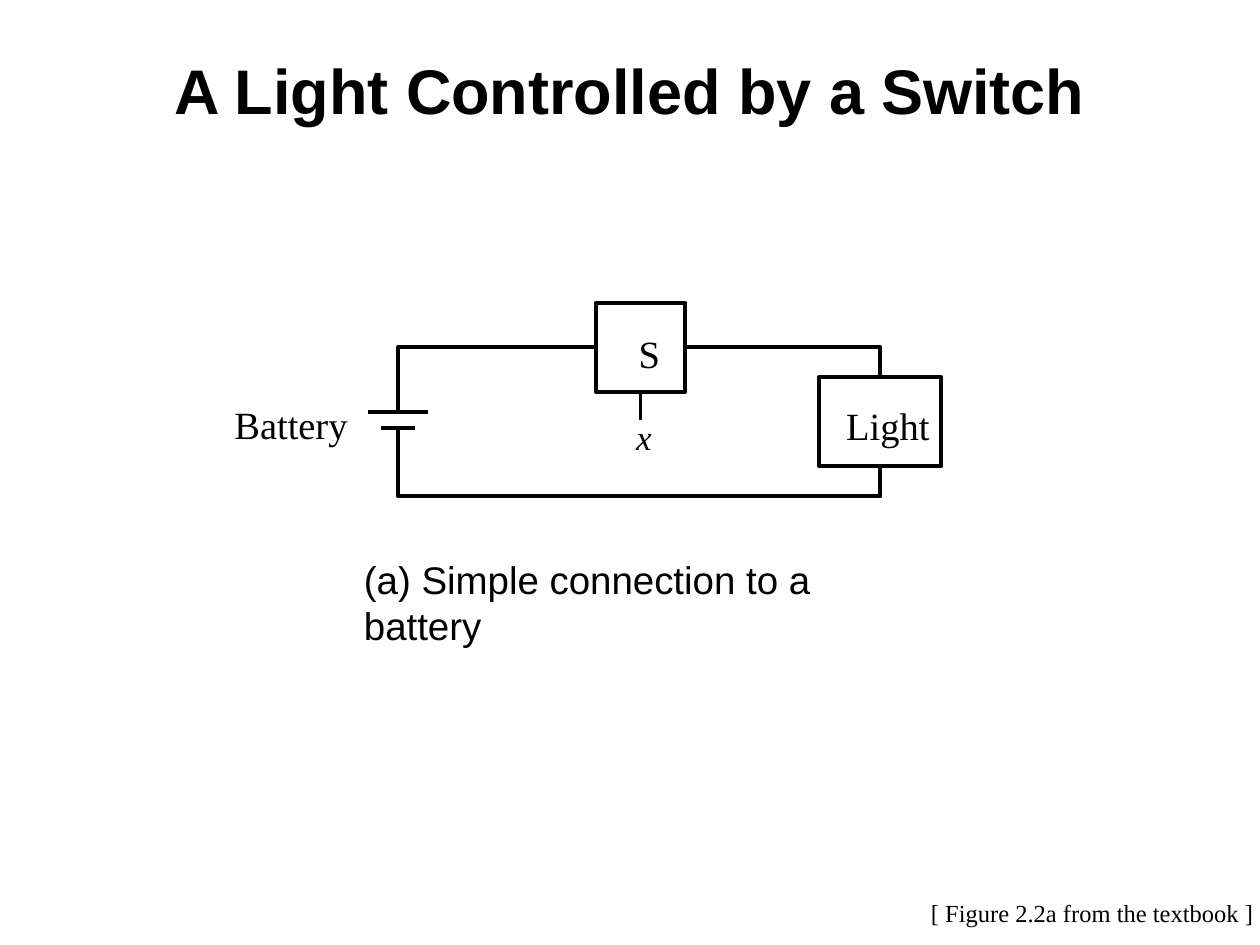
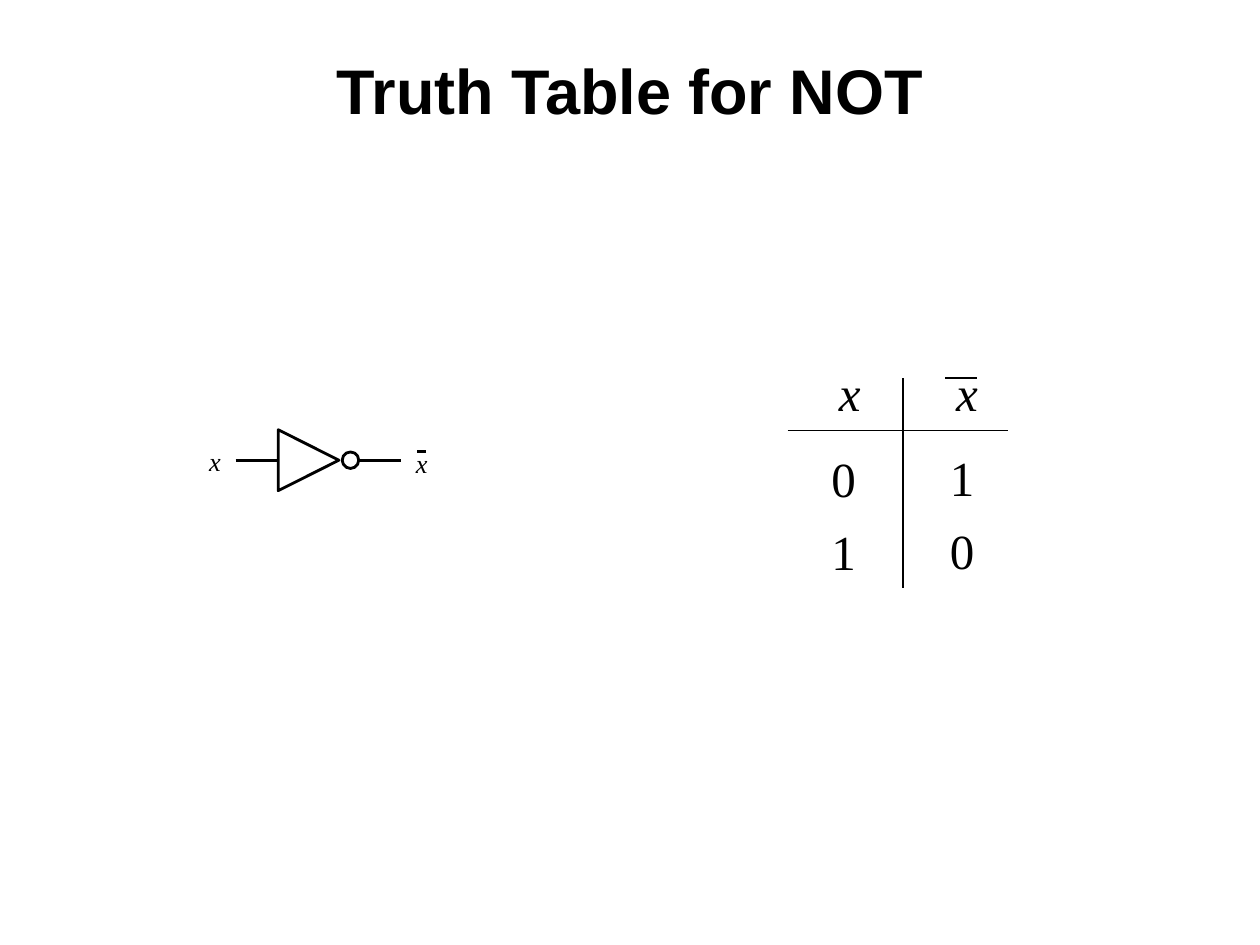
from pptx import Presentation
from pptx.dml.color import RGBColor
from pptx.enum import shapes, text
from pptx.oxml import ns
from pptx.util import Pt
from lxml import etree

INK = "000000"
SANS, SERIF = "Arial", "Times New Roman"
SLIDE_WIDTH, SLIDE_HEIGHT = 720, 540
PADDING = (7.2, 3.6)
WIRE, GATE_LINE, RULE, OVERBAR = 2.25, 1.62, 0.75, 1.25


def colour(hex_code):
    """Turn a hex string into a colour."""
    return RGBColor.from_string(hex_code)


def stroke(line, weight):
    """Give a line the shared ink and a weight."""
    line.color.rgb = colour(INK)
    line.width = Pt(weight)


def outline(figure, weight):
    """Show a shape as a bare outline."""
    figure.shadow.inherit = False
    figure.fill.background()
    stroke(figure.line, weight)
    return figure


def add_preset(slide, kind, left, top, width, height, weight):
    """Draw a preset shape in outline."""
    figure = slide.shapes.add_shape(kind, Pt(left), Pt(top), Pt(width), Pt(height))
    return outline(figure, weight)


def add_path(slide, points, weight, close=False):
    """Draw an outline through a list of points."""
    corners = [(Pt(x), Pt(y)) for x, y in points]
    builder = slide.shapes.build_freeform(*corners[0], scale=1.0)
    builder.add_line_segments(corners[1:], close=close)
    return outline(builder.convert_to_shape(), weight)


def add_line(slide, start, end, weight):
    """Draw a straight line without a shadow."""
    line = slide.shapes.add_connector(
        shapes.MSO_CONNECTOR.STRAIGHT, *[Pt(value) for value in (*start, *end)])
    stroke(line.line, weight)
    etree.SubElement(line._element.spPr, ns.qn("a:effectLst"))
    return line


def add_label(slide, words, box, size, font=SERIF, padding=(0, 0), bold=False,
              italic=False, wrap=False):
    """Place one run of text and return its frame."""
    frame = slide.shapes.add_textbox(*[Pt(value) for value in box]).text_frame
    frame.word_wrap = wrap
    frame.auto_size = text.MSO_AUTO_SIZE.SHAPE_TO_FIT_TEXT
    frame.margin_left = frame.margin_right = Pt(padding[0])
    frame.margin_top = frame.margin_bottom = Pt(padding[1])
    run = frame.paragraphs[0].add_run()
    run.text = words
    run.font.size = Pt(size)
    run.font.name = font
    run.font.bold = bold
    run.font.italic = italic
    run.font.color.rgb = colour(INK)
    return frame


def add_titled_slide(deck, title):
    """Start a blank slide with the shared title."""
    slide = deck.slides.add_slide(deck.slide_layouts[6])
    frame = add_label(slide, title, (0, 24, SLIDE_WIDTH, 54), 36, SANS, PADDING,
                      bold=True, wrap=True)
    frame.auto_size = text.MSO_AUTO_SIZE.NONE
    frame.vertical_anchor = text.MSO_ANCHOR.MIDDLE
    frame.paragraphs[0].alignment = text.PP_ALIGN.CENTER
    return slide


def draw_circuit(slide):
    """Draw the battery, switch and light in one loop."""
    battery_x, switch_x, light_x = 227.5, 366, 503
    top_wire, bottom_wire = 198.5, 283.7
    long_plate, short_plate = 235.3, 244.8
    side, light_width, light_top = 51, 70, 215.4
    left_joint, right_joint = 279, 451.5

    switch = add_preset(slide, shapes.MSO_SHAPE.RECTANGLE, switch_x - side / 2,
                        top_wire - side / 2, side, side, WIRE)
    add_preset(slide, shapes.MSO_SHAPE.RECTANGLE, light_x - light_width / 2,
               light_top, light_width, side, WIRE)

    switch_leads = [((left_joint, top_wire), (switch_x - side / 2, top_wire), 1),
                    ((switch_x, 240), (switch_x, top_wire + side / 2), 2),
                    ((right_joint, top_wire), (switch_x + side / 2, top_wire), 3)]
    for start, end, site in switch_leads:
        add_line(slide, start, end, WIRE).end_connect(switch, site)

    add_path(slide, [(light_x, light_top), (light_x, top_wire),
                     (right_joint, top_wire)], WIRE)
    add_path(slide, [(left_joint, top_wire), (battery_x, top_wire),
                     (battery_x, long_plate)], WIRE)
    add_path(slide, [(battery_x, 278.6), (battery_x, bottom_wire),
                     (light_x, bottom_wire), (light_x, light_top + side)], WIRE)
    add_line(slide, (battery_x, short_plate), (battery_x, bottom_wire), WIRE)
    for y, reach in ((long_plate, 17), (short_plate, 9.7)):
        add_line(slide, (battery_x + reach, y), (battery_x - reach, y), WIRE)

    for words, left, top, width in (("S", 365, 188.6, 18),
                                    ("Battery", 134, 229, 80.6),
                                    ("Light", 483.6, 229.7, 57.6)):
        add_label(slide, words, (left, top, width, 26.6), 22)
    add_label(slide, "x", (356.4, 234, 34.6, 31.7), 20, padding=PADDING,
              italic=True, wrap=True)


def draw_not_gate(slide):
    """Draw the inverter with its input and its negated output."""
    axis, back, tip, half_height = 263, 159, 193.7, 17.4
    bubble_left, bubble = 195.6, 9.4
    bubble_right = bubble_left + bubble
    add_line(slide, (134.6, axis), (back, axis), GATE_LINE)
    add_line(slide, (228.9, axis), (bubble_right, axis), GATE_LINE)
    add_path(slide, [(tip, axis), (back, axis + half_height),
                     (back, axis - half_height)], GATE_LINE, close=True)
    add_preset(slide, shapes.MSO_SHAPE.OVAL, bubble_left, axis - bubble / 2,
               bubble, bubble, GATE_LINE)
    for left, top in ((119.5, 254.2), (237.6, 255.6)):
        add_label(slide, "x", (left, top, 11.5, 18), 15, italic=True)
    add_line(slide, (243.5, 257.8), (238.5, 257.8), GATE_LINE)


def draw_truth_table(slide):
    """Set out the ruled truth table."""
    add_line(slide, (516, 216), (516, 336), RULE)
    add_line(slide, (450, 246), (576, 246), RULE)
    for left in (472.3, 539.3):
        add_label(slide, "x", (left, 203.8, 26.6, 41), 28, padding=PADDING,
                  italic=True)
    add_line(slide, (540, 216), (558, 216), OVERBAR)
    for left, top, digits in ((468, 252.7, "01"), (535.7, 252, "10")):
        for row, digit in enumerate(digits):
            add_label(slide, digit, (left, top + 41.8 * row, 28, 41), 28,
                      padding=PADDING)


def main():
    """Build both slides and save them."""
    deck = Presentation()
    deck.slide_width, deck.slide_height = Pt(SLIDE_WIDTH), Pt(SLIDE_HEIGHT)

    light = add_titled_slide(deck, "A Light Controlled by a Switch")
    draw_circuit(light)
    add_label(light, "(a) Simple connection to a battery",
              (208, 317.5, 328.3, 26.6), 22, SANS)
    add_label(light, "[ Figure 2.2a from the textbook ]",
              (524.9, 509.8, 198.7, 24.5), 14, padding=PADDING)

    negation = add_titled_slide(deck, "Truth Table for NOT")
    draw_not_gate(negation)
    draw_truth_table(negation)

    deck.save("out.pptx")


if __name__ == "__main__":
    main()
